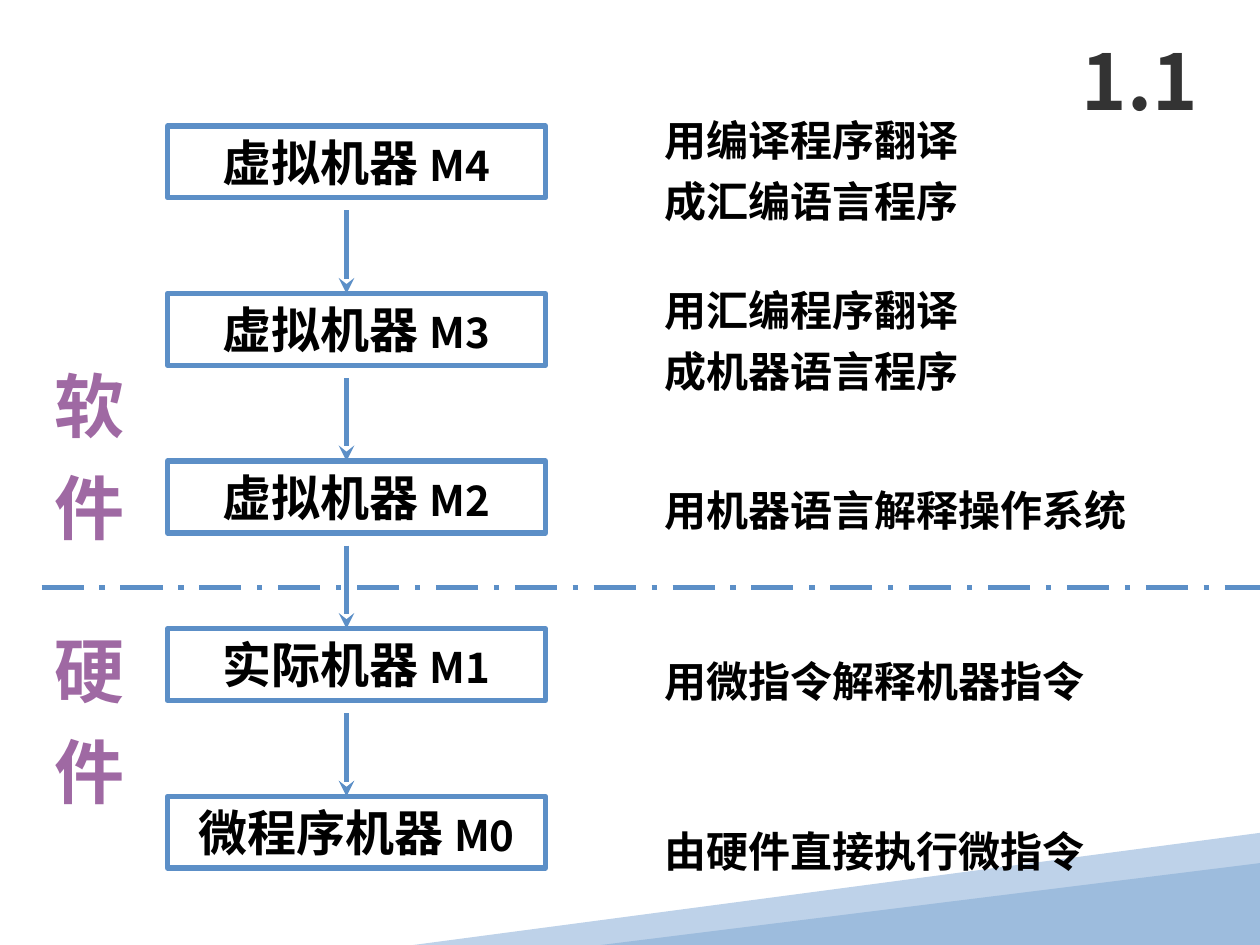
from lxml import etree
from pptx import Presentation
from pptx import util as u
from pptx.dml.color import RGBColor
from pptx.enum import dml, shapes, text
from pptx.oxml.ns import qn

BLACK = RGBColor(0x00, 0x00, 0x00)
GREY = RGBColor(0x33, 0x33, 0x33)
PURPLE = RGBColor(0x9F, 0x69, 0xA3)
BLUE = RGBColor(0x5C, 0x8F, 0xC7)
PALE_BLUE = RGBColor(0xBE, 0xD2, 0xE9)
SOFT_BLUE = RGBColor(0x9D, 0xBC, 0xDD)
FONT = "Noto Sans CJK SC"

SECTION = "1.1"
LEVELS = [
    ("虚拟机器 ", "M4", ["用编译程序翻译", "成汇编语言程序"]),
    ("虚拟机器 ", "M3", ["用汇编程序翻译", "成机器语言程序"]),
    ("虚拟机器 ", "M2", ["用机器语言解释操作系统"]),
    ("实际机器 ", "M1", ["用微指令解释机器指令"]),
    ("微程序机器 ", "M0", ["由硬件直接执行微指令"]),
]
LAYERS = [("软件", 3.615), ("硬件", 5.715)]

WIDTH, HEIGHT = 10, 7.5
MACHINE_LEFT, MACHINE_TOP, MACHINE_W, MACHINE_H = 1.33, 1, 3, 0.57
ROW = 1.33
NOTE_LEFT, NOTE_MIDDLE, NOTE_ROW = 5.17, 1.35, 1.35
ARROW_X, ARROW_TOP, ARROW_LENGTH = 2.75, 1.67, 0.66
DIVIDER_LEFT, DIVIDER_Y = 0.33, 4.66
LINE_RATIO, INSET_X, INSET_Y = 1.2, 0.1, 0.05


def style(paragraph, size, color):
    paragraph.alignment = text.PP_ALIGN.CENTER
    paragraph.line_spacing = u.Pt(size * LINE_RATIO)
    paragraph.font.size = u.Pt(size)
    paragraph.font.name = FONT
    paragraph.font.bold = True
    paragraph.font.color.rgb = color
    east_asian = etree.SubElement(paragraph.font._element, qn("a:ea"))
    east_asian.set("typeface", FONT)


def set_frame(frame, wrap, anchor=text.MSO_ANCHOR.TOP):
    frame.word_wrap = wrap
    frame.auto_size = text.MSO_AUTO_SIZE.NONE
    frame.vertical_anchor = anchor
    frame.margin_left = frame.margin_right = u.Inches(INSET_X)
    frame.margin_top = frame.margin_bottom = u.Inches(INSET_Y)


def add_lines(slide, lines, left, middle, size, gap, color):
    width = max(map(len, lines)) * size / 72 + 2 * INSET_X
    points = len(lines) * size * LINE_RATIO + (len(lines) - 1) * gap
    height = points / 72 + 2 * INSET_Y
    box = slide.shapes.add_textbox(
        u.Inches(left), u.Inches(middle - height / 2), u.Inches(width), u.Inches(height))
    frame = box.text_frame
    set_frame(frame, False)
    frame.text = "\n".join(lines)
    for index, paragraph in enumerate(frame.paragraphs):
        style(paragraph, size, color)
        if index:
            paragraph.space_before = u.Pt(gap)


def add_line(slide, x1, y1, x2, y2):
    line = slide.shapes.add_connector(
        shapes.MSO_CONNECTOR.STRAIGHT, *map(u.Inches, (x1, y1, x2, y2)))
    line.line.color.rgb = BLUE
    line.line.width = u.Pt(3)
    etree.SubElement(line._element.spPr, qn("a:effectLst"))
    return line


def add_machine(slide, name, level, top):
    machine = slide.shapes.add_shape(
        shapes.MSO_SHAPE.RECTANGLE,
        *map(u.Inches, (MACHINE_LEFT, top, MACHINE_W, MACHINE_H)))
    machine.shadow.inherit = False
    machine.fill.background()
    machine.line.color.rgb = BLUE
    machine.line.width = u.Pt(3)
    set_frame(machine.text_frame, True)
    paragraph = machine.text_frame.paragraphs[0]
    paragraph.add_run().text = name
    code = paragraph.add_run()
    code.text = level
    code.font.size = u.Pt(24)
    style(paragraph, 28, BLACK)


def paint(shape, color):
    shape.shadow.inherit = False
    shape.fill.solid()
    shape.fill.fore_color.rgb = color
    shape.line.fill.background()


def add_wedges(slide):
    outline = slide.shapes.build_freeform(
        u.Inches(WIDTH), u.Inches(6.61), scale=1.0)
    corners = [(WIDTH, 7.44), (6.73, HEIGHT), (3.28, HEIGHT)]
    outline.add_line_segments([(u.Inches(x), u.Inches(y)) for x, y in corners])
    paint(outline.convert_to_shape(), PALE_BLUE)
    front = slide.shapes.add_shape(
        shapes.MSO_SHAPE.ISOSCELES_TRIANGLE, *map(u.Inches, (4.77, 6.85, 5.23, 0.65)))
    front.adjustments[0] = 1
    paint(front, SOFT_BLUE)


def add_section(slide):
    title = slide.shapes.title
    title.left, title.top, title.width, title.height = map(
        u.Inches, (8.42, 0.17, 1.25, 0.92))
    title.text_frame.text = SECTION
    set_frame(title.text_frame, True, text.MSO_ANCHOR.MIDDLE)
    style(title.text_frame.paragraphs[0], 44, GREY)


def main():
    deck = Presentation()
    deck.slide_width, deck.slide_height = u.Inches(WIDTH), u.Inches(HEIGHT)
    slide = deck.slides.add_slide(deck.slide_layouts[5])
    add_wedges(slide)
    add_section(slide)

    divider = add_line(slide, DIVIDER_LEFT, DIVIDER_Y, WIDTH, DIVIDER_Y)
    divider.line.dash_style = dml.MSO_LINE.LONG_DASH_DOT
    for layer, middle in LAYERS:
        add_lines(slide, list(layer), DIVIDER_LEFT, middle, 40, 10, PURPLE)

    for row, (name, level, note) in enumerate(LEVELS):
        add_machine(slide, name, level, MACHINE_TOP + row * ROW)
        add_lines(slide, note, NOTE_LEFT, NOTE_MIDDLE + row * NOTE_ROW, 24, 6, BLACK)
        if row < len(LEVELS) - 1:
            top = ARROW_TOP + row * ROW
            arrow = add_line(slide, ARROW_X, top, ARROW_X, top + ARROW_LENGTH)
            etree.SubElement(arrow.line._get_or_add_ln(), qn("a:tailEnd")).set("type", "stealth")

    deck.save("out.pptx")


if __name__ == "__main__":
    main()
